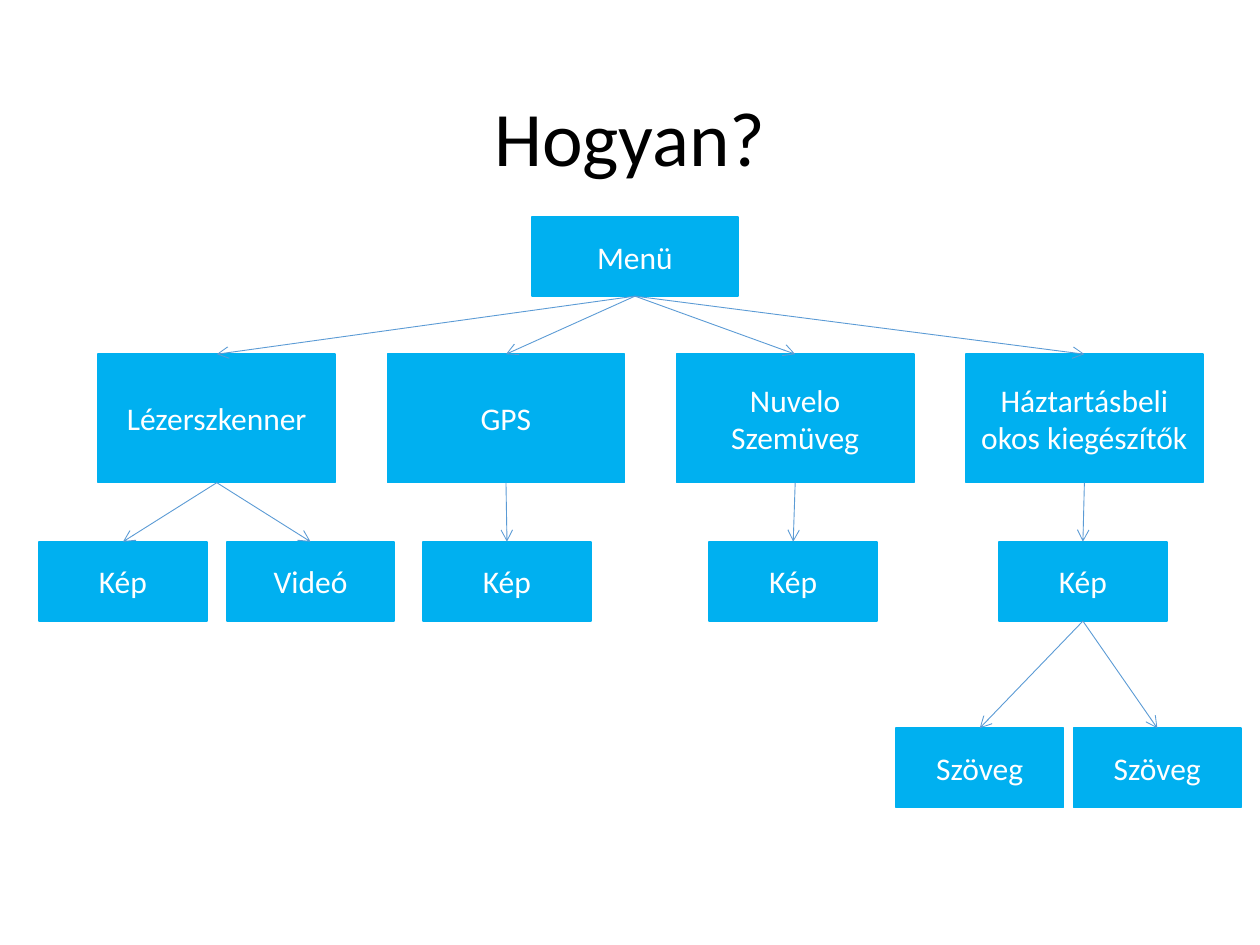
from lxml.etree import SubElement
from pptx import Presentation
from pptx.dml.color import RGBColor
from pptx.enum.shapes import MSO_CONNECTOR, MSO_SHAPE
from pptx.enum.text import MSO_ANCHOR, PP_ALIGN
from pptx.oxml.ns import qn
from pptx.util import Cm, Pt


def color(code):
    return RGBColor.from_string(code)


def assign(target, values):
    for name, value in values.items():
        setattr(target, name, value)


class Chart:
    fill = "00B0F0"
    wire = "5B9BD5"
    frame = {"word_wrap": True, "vertical_anchor": MSO_ANCHOR.MIDDLE}
    font = {"name": "Calibri", "size": Pt(18)}
    head = {"name": "Calibri", "size": Pt(44)}

    def __init__(self, slide):
        self.slide = slide

    def label(self, shape, text, font, code, space=1.0):
        assign(shape.text_frame, self.frame)
        para = shape.text_frame.paragraphs[0]
        assign(para, {"alignment": PP_ALIGN.CENTER, "line_spacing": space})
        run = para.add_run()
        run.text = text
        assign(run.font, font)
        run.font.color.rgb = color(code)

    def title(self, text, *place):
        shape = self.slide.shapes.add_textbox(*map(Cm, place))
        self.label(shape, text, self.head, "000000", 0.9)

    def box(self, text, *place):
        shape = self.slide.shapes.add_shape(MSO_SHAPE.RECTANGLE, *map(Cm, place))
        shape.shadow.inherit = False
        shape.fill.solid()
        shape.fill.fore_color.rgb = color(self.fill)
        shape.line.color.rgb = color(self.fill)
        shape.line.width = Pt(1)
        self.label(shape, text, self.font, "FFFFFF")
        return shape

    def arrow(self, start, end):
        wire = self.slide.shapes.add_connector(MSO_CONNECTOR.STRAIGHT, 0, 0, 0, 0)
        wire.begin_connect(start, 2)
        wire.end_connect(end, 0)
        wire.line.color.rgb = color(self.wire)
        wire.line.width = Pt(0.5)
        props = wire.element.spPr
        SubElement(props.get_or_add_ln(), qn("a:tailEnd"), type="arrow")
        SubElement(props, qn("a:effectLst"))


def main():
    deck = Presentation()
    assign(deck, {"slide_width": Cm(25.4), "slide_height": Cm(19.05)})
    chart = Chart(deck.slides.add_slide(deck.slide_layouts[6]))

    chart.title("Hogyan?", 1.75, 1.02, 21.9, 3.68)
    menu = chart.box("Menü", 10.72, 4.37, 4.16, 1.6)

    names = ["Lézerszkenner", "GPS", "Nuvelo Szemüveg", "Háztartásbeli okos kiegészítők"]
    tools = [
        chart.box(name, 1.98 + 5.83 * col, 7.14, 4.78, 2.59)
        for col, name in enumerate(names)
    ]
    media = [
        chart.box(name, left, 10.92, 3.38, 1.6)
        for name, left in [
            ("Kép", 0.79), ("Videó", 4.57), ("Kép", 8.53), ("Kép", 14.3), ("Kép", 20.14)
        ]
    ]
    texts = [chart.box("Szöveg", left, 14.68, 3.38, 1.6) for left in (18.06, 21.64)]

    links = [(menu, tool) for tool in tools]
    links += zip([tools[0], *tools], media)
    links += [(media[-1], text) for text in texts]
    for start, end in links:
        chart.arrow(start, end)

    deck.save("out.pptx")


if __name__ == "__main__":
    main()
